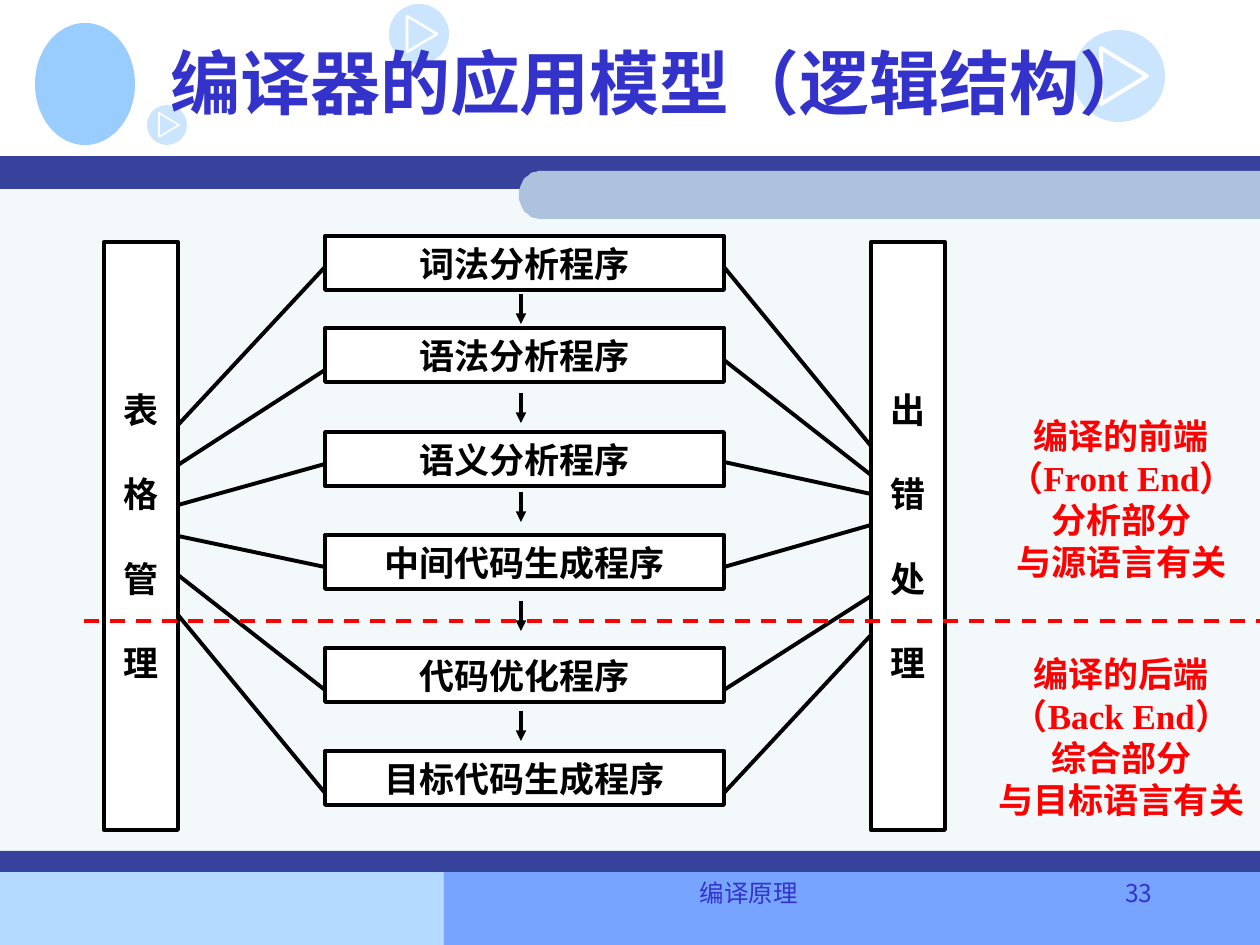
import math
import pptx
import pptx.dml.color
import pptx.enum.dml
import pptx.enum.shapes
import pptx.enum.text
import pptx.oxml.ns
import pptx.util
from lxml import etree

PX = 914400 / 126
NAVY, BLUE, SKY, RED = "36429B", "3333CC", "99CCFF", "FF0000"
SERIF, SANS = "Times New Roman", "Noto Sans CJK KR"
kinds = pptx.enum.shapes.MSO_SHAPE
align = pptx.enum.text.PP_ALIGN
anchor = pptx.enum.text.MSO_ANCHOR
rgb = pptx.dml.color.RGBColor.from_string
qn = pptx.oxml.ns.qn

deck = pptx.Presentation()
deck.slide_width = pptx.util.Inches(10)
deck.slide_height = pptx.util.Inches(7.5)
page = deck.slides.add_slide(deck.slide_layouts[6])


def paint(shape, fill, line=None, width=2.25):
    shape.shadow.inherit = False
    if fill:
        shape.fill.solid()
        shape.fill.fore_color.rgb = rgb(fill)
    else:
        shape.fill.background()
    if line:
        shape.line.color.rgb = rgb(line)
        shape.line.width = pptx.util.Pt(width)
    else:
        shape.line.fill.background()


def write(box, text, size, colour, font=SERIF, bold=True, where=align.CENTER, middle=True, gap=0):
    frame = box.text_frame
    frame.text = text
    frame.word_wrap = False
    frame.vertical_anchor = anchor.MIDDLE if middle else anchor.TOP
    for index, para in enumerate(frame.paragraphs):
        para.alignment = where
        if len(frame.paragraphs) > 1:
            para.line_spacing = pptx.util.Pt(24)
        if index:
            para.space_before = pptx.util.Pt(gap)
        for span in para.runs:
            span.font.name = font
            span.font.size = pptx.util.Pt(size)
            span.font.bold = bold
            span.font.color.rgb = rgb(colour)


bands = [
    (0, 872, 535, 73, "B5DAFF"),
    (444, 871, 816, 74, "77A4FF"),
    (0, 176, 1260, 694, "F3F8FB"),
    (0, 156, 1260, 33, NAVY),
    (0, 851, 1260, 21, NAVY),
]
for left, top, width, height, colour in bands:
    band = page.shapes.add_shape(kinds.RECTANGLE, *[int(v * PX) for v in (left, top, width, height)])
    paint(band, colour)

curve = [math.radians(angle) for angle in range(90, 271, 6)]
tab_points = [(540 + 21 * math.cos(a), 195 - 24 * math.sin(a)) for a in curve]
builder = page.shapes.build_freeform(1260, 171, scale=PX)
builder.add_line_segments(tab_points + [(1260, 219)], close=True)
paint(builder.convert_to_shape(), "ADC3DD")

emblem = page.shapes.add_shape(kinds.OVAL, *[int(v * PX) for v in (35, 23, 100, 122)])
paint(emblem, SKY)

for left, top, size in [(389, 4, 60), (1073, 30, 92), (147, 105, 40)]:
    disc = page.shapes.add_shape(kinds.OVAL, *[int(v * PX) for v in (left, top, size, size)])
    paint(disc, SKY)
    tint = disc.fill._xPr.find(qn("a:solidFill"))[0]
    etree.SubElement(tint, qn("a:alpha"), val="50000")
    builder = page.shapes.build_freeform(left + 0.3 * size, top + 0.2 * size, scale=PX)
    builder.add_line_segments(
        [(left + 0.8 * size, top + 0.5 * size), (left + 0.3 * size, top + 0.8 * size)], close=True)
    paint(builder.convert_to_shape(), None, "FFFFFF", round(size * 0.025, 2))

labels = [
    (431, 872, 636, 63, "编译原理", 14, BLUE, SANS, False, align.CENTER, False),
    (1067, 872, 98, 63, "33", 14, BLUE, SANS, False, align.RIGHT, False),
    (158, 8, 1071, 147, "编译器的应用模型（逻辑结构）", 40, BLUE, SERIF, True, align.LEFT, True),
    (983, 462, 277, 73, "编译的前端\n（Front End）\n分析部分\n与源语言有关", 20, RED),
    (983, 700, 277, 73, "编译的后端\n（Back End）\n综合部分\n与目标语言有关", 20, RED),
]
for left, top, width, height, *style in labels:
    label = page.shapes.add_textbox(*[int(v * PX) for v in (left, top, width, height)])
    write(label, *style)

steps = [
    ("词法分析程序", 236, 267, 425, 267, 446),
    ("语法分析程序", 328, 370, 465, 360, 475),
    ("语义分析程序", 432, 464, 505, 462, 494),
    ("中间代码生成程序", 535, 567, 536, 567, 525),
    ("代码优化程序", 648, 690, 575, 690, 596),
    ("目标代码生成程序", 751, 793, 615, 793, 635),
]
blocks = [(325, top, 399, 54, name) for name, top, *ends in steps]
blocks += [(104, 242, 74, 588, "表格管理"), (871, 242, 74, 588, "出错处理")]
for left, top, width, height, text in blocks:
    block = page.shapes.add_shape(kinds.RECTANGLE, *[int(v * PX) for v in (left, top, width, height)])
    paint(block, "FFFFFF", "000000")
    tall = height > width
    write(block, "\n".join(text) if tall else text, 20, "000000", gap=24)

lines = []
for name, top, left_step, left_bar, right_step, right_bar in steps:
    lines.append((325, left_step, 178, left_bar, "000000", 2.25))
    lines.append((871, right_bar, 724, right_step, "000000", 2.25))
lines += [(521, top, 521, top + 30, "000000", 2) for top in (294, 393, 492, 601, 711)]
lines.append((84, 621, 1260, 621, RED, 2.13))
for x1, y1, x2, y2, colour, width in lines:
    line = page.shapes.add_connector(
        pptx.enum.shapes.MSO_CONNECTOR.STRAIGHT, *[int(v * PX) for v in (x1, y1, x2, y2)])
    line.line.color.rgb = rgb(colour)
    line.line.width = pptx.util.Pt(width)
    if y1 == y2:
        line.line.dash_style = pptx.enum.dml.MSO_LINE.DASH
    if x1 == x2:
        etree.SubElement(line.line._get_or_add_ln(), qn("a:tailEnd"), type="triangle")
    etree.SubElement(line._element.spPr, qn("a:effectLst"))

deck.save("out.pptx")
